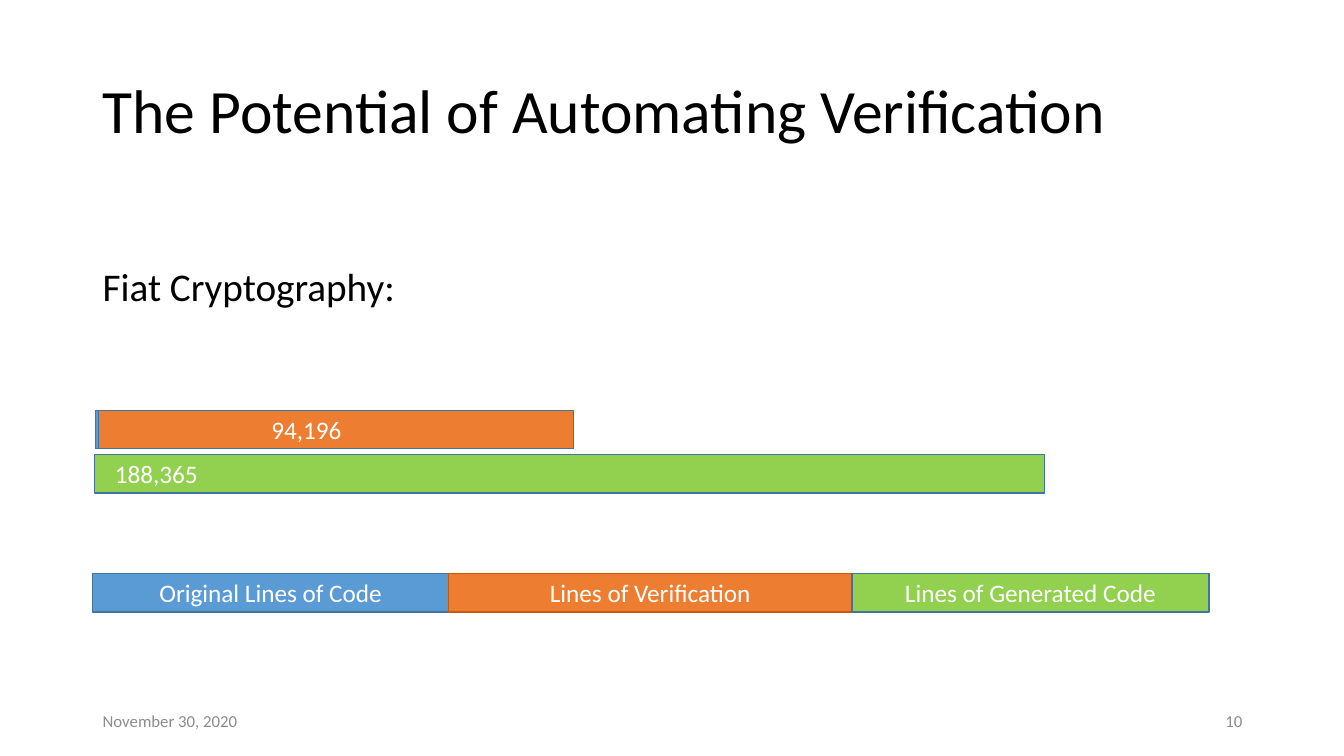
"""Build a slide that compares hand-written, verification and generated code sizes."""
from pptx import Presentation
from pptx.dml.color import RGBColor
from pptx.enum.shapes import MSO_SHAPE as Shape
from pptx.enum.text import MSO_ANCHOR as Anchor, PP_ALIGN as Align
from pptx.util import Emu, Pt

COLORS = {
    "text": "000000",
    "muted": "8C8C8C",
    "white": "FFFFFF",
    "original": "5B9BD5",
    "verification": "ED7D31",
    "generated": "92D050",
    "outline": "43739E",
    "verification_outline": "C55A11",
}
EMU_PER_PX = 9144
LINES_PER_PX = 200
BAR_HEIGHT = 38


class SlideBuilder:
    """Holds the style and the current slide."""

    font = "Calibri"

    def __init__(self, deck):
        """Add a blank page to the deck."""
        self.page = deck.slides.add_slide(deck.slide_layouts[6])

    @staticmethod
    def px(*lengths):
        """Turn pixel lengths into EMU."""
        return [Emu(length * EMU_PER_PX) for length in lengths]

    @staticmethod
    def color(name):
        """Look up a colour by name."""
        return RGBColor.from_string(COLORS[name])

    def add_span(self, shape, text, size, color, align, anchor, spacing=1.0):
        """Put one styled run into a shape."""
        frame = shape.text_frame
        frame.word_wrap = True
        frame.vertical_anchor = anchor
        para = frame.paragraphs[0]
        para.alignment = align
        para.line_spacing = spacing
        span = para.add_run()
        span.text = text
        span.font.name = self.font
        span.font.size = Pt(size)
        span.font.color.rgb = self.color(color)

    def label(self, area, text, size, color="text", align=Align.LEFT,
              anchor=Anchor.MIDDLE, spacing=1.0):
        """Add a text box."""
        box = self.page.shapes.add_textbox(*self.px(*area))
        self.add_span(box, text, size, color, align, anchor, spacing)

    def bar(self, left, top, width, fill, outline="outline", text=None):
        """Add an outlined bar with optional centred text."""
        bar = self.page.shapes.add_shape(
            Shape.RECTANGLE, *self.px(left, top, width, BAR_HEIGHT))
        bar.shadow.inherit = False
        bar.fill.solid()
        bar.fill.fore_color.rgb = self.color(fill)
        bar.line.color.rgb = self.color(outline)
        bar.line.width = Pt(1)
        if text:
            self.add_span(bar, text, 18, "white", Align.CENTER, Anchor.MIDDLE)


def main():
    """Build and save the deck."""
    deck = Presentation()
    deck.slide_width, deck.slide_height = SlideBuilder.px(1333, 750)
    slide = SlideBuilder(deck)

    slide.label((92, 40, 1150, 145), "The Potential of Automating Verification", 44,
                spacing=0.9)
    slide.label((92, 261, 1150, 60), "Fiat Cryptography:", 28,
                anchor=Anchor.TOP, spacing=0.9)
    slide.label((92, 695, 300, 40), "November 30, 2020", 12, "muted")
    slide.label((942, 695, 300, 40), "10", 12, "muted", Align.RIGHT)

    slide.bar(95, 407, 3, "original")
    counts = [
        (98, 407, 94196, "verification", 239),
        (94, 451, 188365, "generated", 90),
    ]
    for left, top, count, fill, label_left in counts:
        slide.bar(left, top, round(count / LINES_PER_PX), fill)
        slide.label((label_left, top, 130, BAR_HEIGHT), f"{count:,}", 18, "white",
                    Align.CENTER)

    legend = [
        ("Original Lines of Code", 353, "original", "outline"),
        ("Lines of Verification", 400, "verification", "verification_outline"),
        ("Lines of Generated Code", 354, "generated", "outline"),
    ]
    left = 92
    for text, width, fill, outline in legend:
        slide.bar(left, 569, width, fill, outline, text)
        left += width

    deck.save("out.pptx")


if __name__ == "__main__":
    main()
